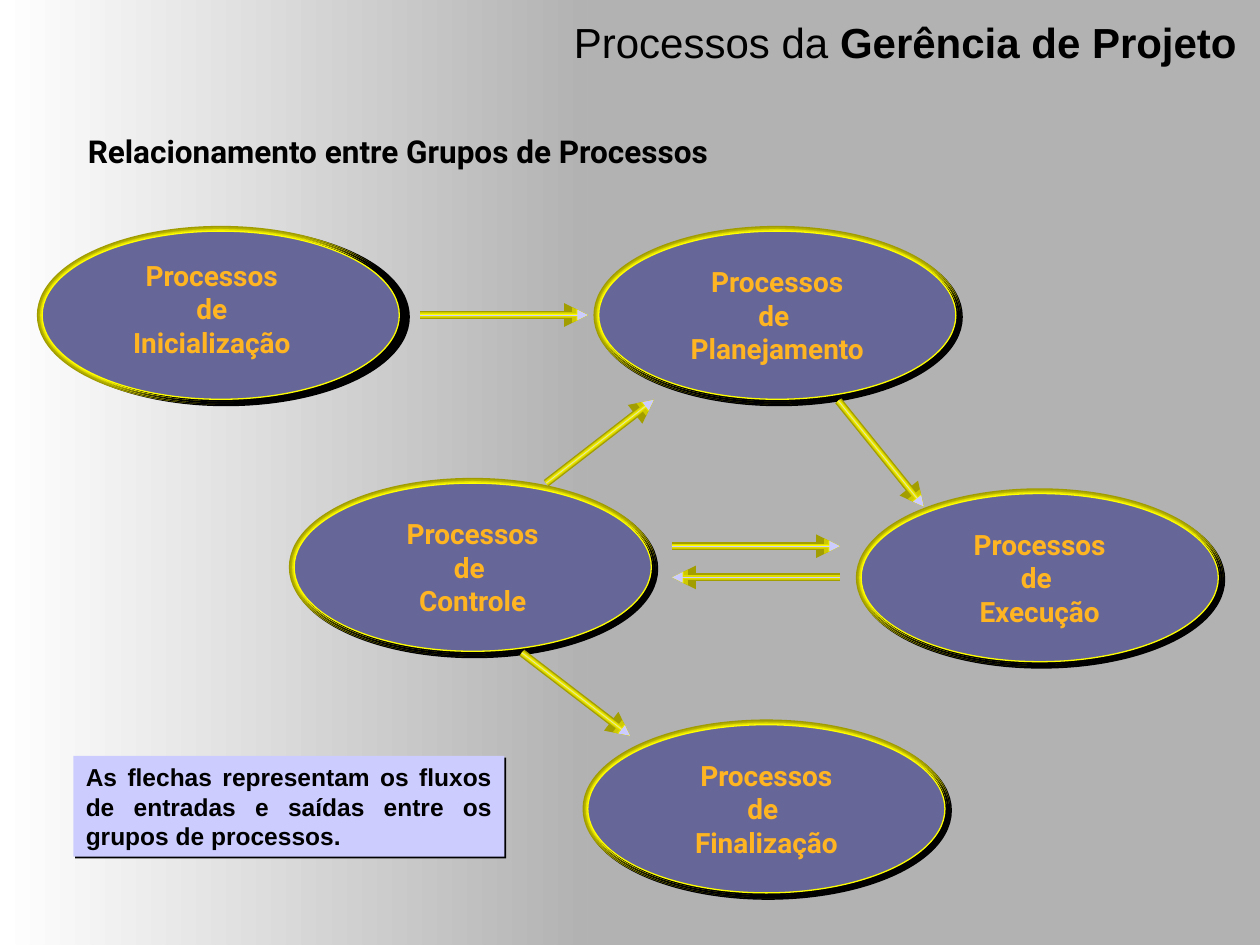
from lxml.etree import SubElement
from pptx import Presentation
from pptx.dml.color import RGBColor
from pptx.enum.shapes import MSO_CONNECTOR, MSO_SHAPE
from pptx.enum.text import MSO_ANCHOR, MSO_AUTO_SIZE, PP_ALIGN
from pptx.oxml.ns import qn
from pptx.util import Cm, Pt

BLACK = RGBColor(0x00, 0x00, 0x00)
WHITE = RGBColor(0xFF, 0xFF, 0xFF)
GRAY = RGBColor(0xB2, 0xB2, 0xB2)
LILAC = RGBColor(0xCC, 0xCC, 0xFF)
BLUE = RGBColor(0x66, 0x66, 0x99)
GOLD = RGBColor(0xFF, 0xB5, 0x21)
YELLOW = RGBColor(0xFF, 0xFF, 0x00)

# Stacked outlines, widest first, give a rounded metal look
RINGS = [
    (RGBColor(0xA0, 0x9C, 0x00), 6),
    (RGBColor(0xB2, 0xAE, 0x00), 4.5),
    (RGBColor(0xC6, 0xC1, 0x00), 3),
    (RGBColor(0xE3, 0xDE, 0x00), 2.25),
    (YELLOW, 0.75),
]
STROKES = [
    (RGBColor(0xA2, 0x9E, 0x00), 4.5),
    (RGBColor(0xCE, 0xC9, 0x00), 3),
    (RGBColor(0xE1, 0xDC, 0x00), 2.25),
    (YELLOW, 1),
    (LILAC, 0.25),
]

# Left, top, last line of the label
OVALS = [
    (11.85, 14.61, "Finalização"),
    (12.07, 4.66, "Planejamento"),
    (5.93, 9.74, "Controle"),
    (17.36, 9.95, "Execução"),
]
# Start x, y and end x, y
ARROWS = [
    (13.55, 11.01, 16.93, 11.01),
    (16.93, 11.64, 13.55, 11.64),
    (11.01, 9.74, 13.18, 8.06),
    (10.52, 13.16, 12.7, 14.83),
    (16.9, 8.08, 18.62, 10.21),
    (8.47, 6.35, 11.85, 6.35),
]


def add_shade(effects, dist, angle):
    shade = SubElement(effects, qn("a:outerShdw"), dist=str(Pt(dist)),
                       dir=str(angle * 60000), algn="ctr", rotWithShape="0")
    SubElement(shade, qn("a:srgbClr"), val=str(BLACK))


def shade_shape(shape, dist=1.4, angle=45):
    shape.shadow.inherit = False
    add_shade(shape._element.spPr.find(qn("a:effectLst")), dist, angle)


def style(para, size, color, name, bold=None, align=None):
    para.alignment = align
    font = para.font
    font.size, font.name, font.bold = Pt(size), name, bold
    font.color.rgb = color


def add_box(slide, left, top, width, height):
    box = slide.shapes.add_textbox(Cm(left), Cm(top), Cm(width), Cm(height))
    box.text_frame.word_wrap = False
    box.text_frame.auto_size = MSO_AUTO_SIZE.SHAPE_TO_FIT_TEXT
    return box.text_frame


def fill_label(frame, lines):
    frame.text = "\n".join(lines)
    for para in frame.paragraphs:
        style(para, 16, GOLD, "Roboto", True, PP_ALIGN.CENTER)


def add_oval(slide, left, top, dist=1.4, angle=45):
    group = slide.shapes.add_group_shape()
    for color, width in RINGS:
        oval = group.shapes.add_shape(MSO_SHAPE.OVAL, Cm(left), Cm(top),
                                      Cm(7.2), Cm(3.39))
        oval.fill.solid()
        oval.fill.fore_color.rgb = BLUE
        oval.line.color.rgb = color
        oval.line.width = Pt(width)
        shade_shape(oval, dist, angle)
    frame = oval.text_frame
    frame.word_wrap = False
    frame.vertical_anchor = MSO_ANCHOR.MIDDLE
    return frame


def add_arrow(slide, *ends):
    group = slide.shapes.add_group_shape()
    for color, width in STROKES:
        line = group.shapes.add_connector(MSO_CONNECTOR.STRAIGHT,
                                          *(Cm(end) for end in ends))
        line.line.color.rgb = color
        line.line.width = Pt(width)
        props = line._element.spPr
        SubElement(props.find(qn("a:ln")), qn("a:tailEnd"), type="triangle")
        SubElement(props, qn("a:effectLst"))


def add_back(slide):
    fill = slide.background.fill
    fill.solid()
    fill.fore_color.rgb = GRAY
    band = slide.shapes.add_shape(MSO_SHAPE.RECTANGLE, 0, 0,
                                  Cm(11.85), Cm(19.05))
    band.shadow.inherit = False
    band.line.fill.background()
    band.fill.gradient()
    band.fill.gradient_angle = 0
    for stop, color in zip(band.fill.gradient_stops, (WHITE, GRAY)):
        stop.color.rgb = color


def add_note(slide):
    note = slide.shapes.add_shape(MSO_SHAPE.RECTANGLE, Cm(1.48), Cm(15.24),
                                  Cm(8.69), Cm(2.03))
    note.fill.solid()
    note.fill.fore_color.rgb = LILAC
    note.line.fill.background()
    shade_shape(note)
    frame = note.text_frame
    frame.word_wrap = True
    frame.text = ("As flechas representam os fluxos de entradas e saídas "
                  "entre os grupos de processos.")
    style(frame.paragraphs[0], 14, BLACK, "Arial", True, PP_ALIGN.JUSTIFY)


def add_title(slide):
    para = add_box(slide, 11.32, 0.2, 13.88, 1.27).paragraphs[0]
    style(para, 24, BLACK, "Arial")
    for text, bold in (("Processos da ", False), ("Gerência de Projeto", True)):
        run = para.add_run()
        run.text = text
        run.font.bold = bold
        props = run._r.get_or_add_rPr()
        add_shade(SubElement(props, qn("a:effectLst")), 1.4, 45)


def main():
    deck = Presentation()
    deck.slide_width, deck.slide_height = Cm(25.4), Cm(19.05)
    slide = deck.slides.add_slide(deck.slide_layouts[6])

    # Backdrop, note and title
    add_back(slide)
    add_note(slide)
    add_title(slide)

    # Process groups
    add_oval(slide, 0.85, 4.66, 3.2, 18)
    for left, top, name in OVALS:
        fill_label(add_oval(slide, left, top), ("Processos", "de ", name))

    # Flows
    for ends in ARROWS:
        add_arrow(slide, *ends)

    # Label of the first group, and subtitle
    fill_label(add_box(slide, 2.28, 5.08, 3.98, 2.28),
               ("Processos", "de", "Inicialização"))
    head = add_box(slide, 1.52, 2.54, 14.25, 1.02)
    head.text = "Relacionamento entre Grupos de Processos"
    style(head.paragraphs[0], 18, BLACK, "Roboto", True)

    deck.save("out.pptx")


if __name__ == "__main__":
    main()
